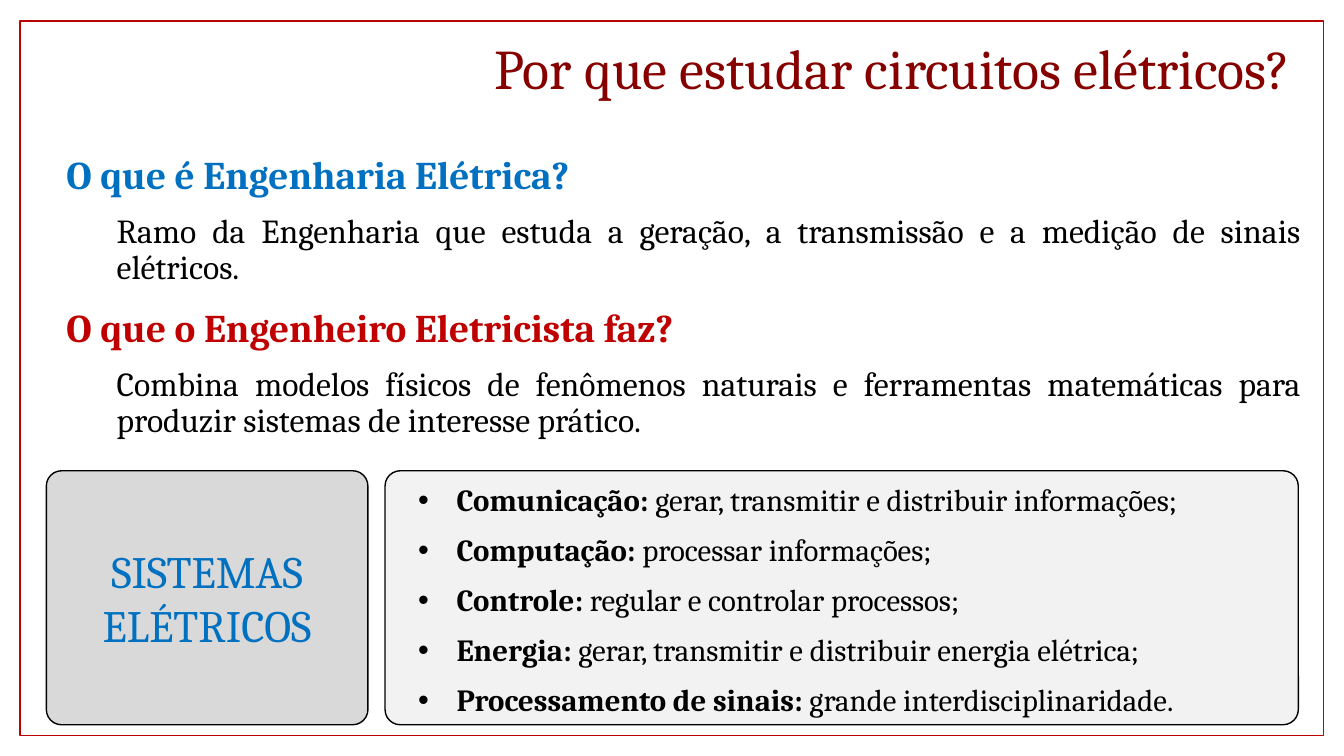
"""Build the slide on why to study electric circuits."""
from lxml import etree
from pptx import Presentation
from pptx.dml.color import RGBColor
from pptx.enum.shapes import MSO_SHAPE
from pptx.enum.text import MSO_ANCHOR, PP_ALIGN
from pptx.oxml.ns import qn
from pptx.util import Inches, Pt

RECT, ROUND = MSO_SHAPE.RECTANGLE, MSO_SHAPE.ROUNDED_RECTANGLE
TOP, MIDDLE, BOTTOM = MSO_ANCHOR.TOP, MSO_ANCHOR.MIDDLE, MSO_ANCHOR.BOTTOM
CENTER, RIGHT, JUSTIFY = PP_ALIGN.CENTER, PP_ALIGN.RIGHT, PP_ALIGN.JUSTIFY

THEME = {
    "font": "Cambria",
    "frame": "B90303", "title": "860000", "blue": "0070C0", "red": "C00000",
    "black": "000000", "light": "F2F2F2", "gray": "D9D9D9",
    "title_pt": 40, "label_pt": 32, "head_pt": 28, "body_pt": 24, "list_pt": 22,
}

deck = Presentation()
deck.slide_width, deck.slide_height = Inches(13.33), Inches(7.5)
COL, ROW = deck.slide_width / 100, deck.slide_height / 100
slide = deck.slides.add_slide(deck.slide_layouts[6])


def add_box(place, kind=None, fill=None, line=None, anchor=TOP):
    """Add a preset shape, or a text box if no kind is given."""
    left, top, width, height = place
    spot = [int(n) for n in (left * COL, top * ROW, width * COL, height * ROW)]
    if kind is None:
        box = slide.shapes.add_textbox(*spot)
    else:
        box = slide.shapes.add_shape(kind, *spot)
        box.shadow.inherit = False
        box.line.color.rgb = RGBColor.from_string(THEME[line])
        box.line.width = Pt(1)
        if fill:
            box.fill.solid()
            box.fill.fore_color.rgb = RGBColor.from_string(THEME[fill])
        else:
            box.fill.background()
        if kind == ROUND:
            box.adjustments[0] = 0.06
    frame = box.text_frame
    frame.word_wrap = True
    frame.vertical_anchor = anchor
    return frame


def add_text(frame, runs, size, color, first=True, **form):
    """Write one paragraph of (text, bold) runs."""
    para = frame.paragraphs[0] if first else frame.add_paragraph()
    for name, value in form.items():
        setattr(para, name, value)
    for text, bold in runs:
        run = para.add_run()
        run.text = text
        look = {"name": THEME["font"], "size": Pt(THEME[size]), "bold": bold}
        for name, value in look.items():
            setattr(run.font, name, value)
        run.font.color.rgb = RGBColor.from_string(THEME[color])
    return para


add_box((1.5, 2.8, 97, 94.53), RECT, line="frame")

title = add_box((22.43, 5.73, 75, 8.27), anchor=BOTTOM)
sides = {"margin_left": 0.07, "margin_right": 0.07, "margin_top": 0.04, "margin_bottom": 0.04}
for side, inset in sides.items():
    setattr(title, side, Inches(inset))
add_text(title, [("Por que estudar circuitos elétricos? ", False)], "title_pt", "title",
         alignment=RIGHT, line_spacing=0.9)

PROSE = {"alignment": JUSTIFY, "line_spacing": 0.9, "space_before": Pt(12)}
topics = [
    ("O que é Engenharia Elétrica?", "blue",
     "Ramo da Engenharia que estuda a geração, a transmissão e a medição de sinais elétricos."),
    ("O que o Engenheiro Eletricista faz?", "red",
     "Combina modelos físicos de fenômenos naturais e ferramentas matemáticas para "
     "produzir sistemas de interesse prático."),
]
for i, (head, color, body) in enumerate(topics):
    topic = add_box((4.2, 19.87 + i * 20.27, 93.3, 19.6))
    add_text(topic, [(head, True)], "head_pt", color, **PROSE)
    para = add_text(topic, [(body, False)], "body_pt", "black", first=False, level=1, **PROSE)
    props = para._p.get_or_add_pPr()
    props.set("marL", str(int(3.75 * COL)))
    props.set("indent", "0")

add_box((28.65, 62.27, 67.95, 33.6), ROUND, "light", "black")
label = add_box((3.45, 62.27, 23.93, 33.6), ROUND, "gray", "black", MIDDLE)
add_text(label, [("SISTEMAS ELÉTRICOS", False)], "label_pt", "blue", alignment=CENTER)

areas = [
    ("Comunicação: ", "gerar, transmitir e distribuir informações;"),
    ("Computação: ", "processar informações;"),
    ("Controle: ", "regular e controlar processos;"),
    ("Energia: ", "gerar, transmitir e distribuir energia elétrica;"),
    ("Processamento de sinais: ", "grande interdisciplinaridade."),
]
items = add_box((30.38, 63.47, 68.1, 29.73))
hang = int(2.85 * COL)
for i, (name, task) in enumerate(areas):
    para = add_text(items, [(name, True), (task, False)], "list_pt", "black", first=i == 0, **PROSE)
    props = para._p.get_or_add_pPr()
    props.set("marL", str(hang))
    props.set("indent", str(-hang))
    etree.SubElement(props, qn("a:buFont")).set("typeface", "Arial")
    etree.SubElement(props, qn("a:buChar")).set("char", "•")

deck.save("out.pptx")
